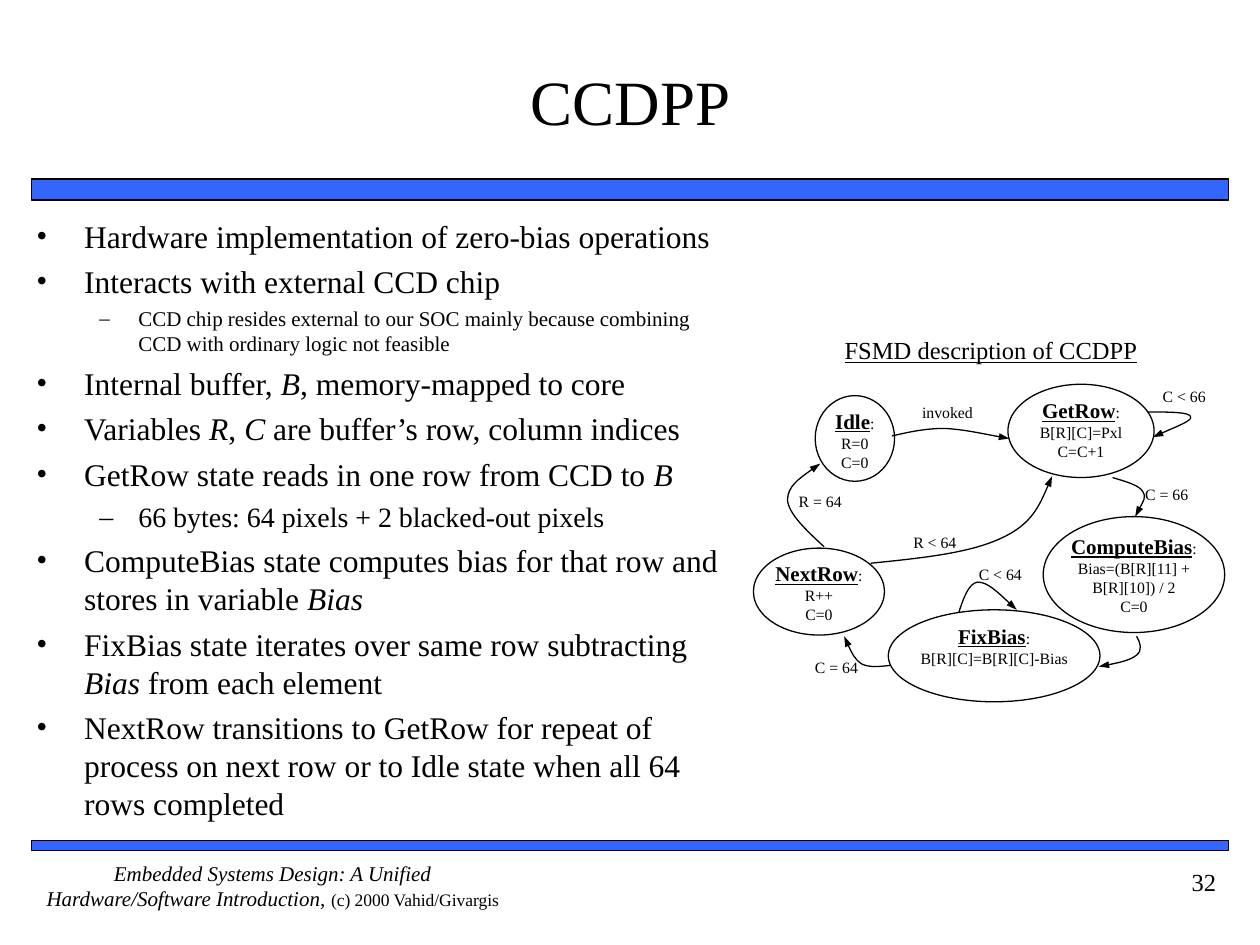
from dataclasses import dataclass
from typing import NamedTuple

from lxml.etree import SubElement
from pptx import Presentation
from pptx.dml.color import RGBColor
from pptx.enum.shapes import MSO_SHAPE
from pptx.enum.text import MSO_ANCHOR, PP_ALIGN
from pptx.oxml.ns import qn
from pptx.util import Inches, Pt


@dataclass(frozen=True)
class Theme:
    font: str = "Times New Roman"
    ink: RGBColor = RGBColor(0, 0, 0)
    paper: RGBColor = RGBColor(255, 255, 255)
    band: RGBColor = RGBColor(0x33, 0x66, 0xFF)
    title: float = 36
    body: float = 18
    sub: float = 16
    head: float = 14
    small: float = 12
    credit: float = 10
    label: float = 9
    rule: float = 1
    edge: float = 0.75


THEME = Theme()


class Box(NamedTuple):
    left: float
    top: float
    width: float
    height: float


class Run(NamedTuple):
    text: str
    size: float
    form: dict = {}


class Point(NamedTuple):
    text: str
    size: float = THEME.body
    level: int = 0


class Level(NamedTuple):
    left: float
    hang: float
    mark: str


class Label(NamedTuple):
    text: str
    box: Box


class State(NamedTuple):
    name: str
    steps: list[str]
    box: Box


LEVELS = [Level(0.38, 0.38, "•"), Level(0.81, 0.31, "–")]
PAD = (0.1, 0.05)

POINTS = [
    Point("Hardware implementation of zero-bias operations"),
    Point("Interacts with external CCD chip"),
    Point("CCD chip resides external to our SOC mainly because combining "
          "CCD with ordinary logic not feasible", THEME.small, 1),
    Point("Internal buffer, *B*, memory-mapped to core"),
    Point("Variables *R*, *C* are buffer’s row, column indices"),
    Point("GetRow state reads in one row from CCD to *B*"),
    Point("66 bytes: 64 pixels + 2 blacked-out pixels", THEME.sub, 1),
    Point("ComputeBias state computes bias for that row and stores in variable *Bias*"),
    Point("FixBias state iterates over same row subtracting *Bias* from each element"),
    Point("NextRow transitions to GetRow for repeat of process on next row "
          "or to Idle state when all 64 rows completed"),
]

LABELS = [
    Label("C = 64", Box(6.37, 5.17, 0.57, 0.25)),
    Label("C < 64", Box(7.67, 4.43, 0.57, 0.25)),
    Label("R = 64", Box(6.24, 3.85, 0.77, 0.25)),
    Label("C = 66", Box(8.99, 3.8, 0.57, 0.25)),
    Label("invoked", Box(7.22, 3.15, 0.63, 0.25)),
    Label("R < 64", Box(7.15, 4.18, 0.73, 0.25)),
    Label("C < 66", Box(9.13, 3.02, 0.57, 0.25)),
]

STATES = [
    State("Idle", ["R=0", "C=0"], Box(6.47, 3.14, 0.63, 0.68)),
    State("GetRow", ["B[R][C]=Pxl", "C=C+1"], Box(8, 3.05, 1.16, 0.74)),
    State("ComputeBias", ["Bias=(B[R][11] + B[R][10]) / 2", "C=0"],
          Box(8.28, 4.1, 1.44, 0.92)),
    State("NextRow", ["R++", "C=0"], Box(5.98, 4.35, 1.04, 0.69)),
    State("FixBias", ["B[R][C]=B[R][C]-Bias"], Box(7.05, 4.84, 1.68, 0.73)),
]

CURVES = [
    [(7.08, 3.46), (7.21, 3.43), (7.34, 3.4), (7.5, 3.4),
     (7.66, 3.41), (7.83, 3.45), (8.01, 3.48)],
    [(8.83, 3.79), (8.93, 3.82), (9.04, 3.85), (9.07, 3.9),
     (9.1, 3.95), (9.05, 4.02), (9.01, 4.1)],
    [(9.02, 5.05), (9.05, 5.1), (9.07, 5.16), (9.02, 5.2),
     (8.97, 5.24), (8.84, 5.27), (8.72, 5.29)],
    [(7.07, 5.28), (6.99, 5.29), (6.9, 5.3), (6.84, 5.27),
     (6.78, 5.23), (6.74, 5.14), (6.7, 5.05)],
    [(6.54, 4.34), (6.4, 4.21), (6.26, 4.08), (6.25, 3.97),
     (6.25, 3.86), (6.38, 3.77), (6.51, 3.68)],
    [(6.91, 4.47), (7.31, 4.43), (7.7, 4.39), (7.95, 4.27),
     (8.19, 4.16), (8.27, 3.97), (8.35, 3.78)],
    [(7.61, 4.86), (7.65, 4.74), (7.69, 4.63), (7.76, 4.62),
     (7.84, 4.62), (7.95, 4.73), (8.07, 4.84)],
    [(9.11, 3.27), (9.28, 3.27), (9.45, 3.27), (9.45, 3.31),
     (9.46, 3.34), (9.3, 3.4), (9.15, 3.47)],
]


def write(shape, lines: list[list[Run]], align=PP_ALIGN.CENTER,
          pad=(0, 0), anchor=MSO_ANCHOR.TOP) -> list:
    frame = shape.text_frame
    side, edge = map(Inches, pad)
    form = {"word_wrap": True, "vertical_anchor": anchor, "margin_left": side,
            "margin_right": side, "margin_top": edge, "margin_bottom": edge}
    for key, value in form.items():
        setattr(frame, key, value)
    paras = []
    for row, runs in enumerate(lines):
        para = frame.add_paragraph() if row else frame.paragraphs[0]
        para.alignment = align
        for text, size, extra in runs:
            run = para.add_run()
            run.text = text
            form = {"name": THEME.font, "size": Pt(size), **extra}
            for key, value in form.items():
                setattr(run.font, key, value)
            run.font.color.rgb = THEME.ink
        paras.append(para)
    return paras


def add_text(slide, box: Box, lines: list[list[Run]], **form) -> list:
    return write(slide.shapes.add_textbox(*map(Inches, box)), lines, **form)


def add_form(slide, kind, box: Box, fill: RGBColor, width: float = 0):
    shape = slide.shapes.add_shape(kind, *map(Inches, box))
    shape.shadow.inherit = False
    shape.fill.solid()
    shape.fill.fore_color.rgb = fill
    if width:
        shape.line.color.rgb = THEME.ink
        shape.line.width = Pt(width)
    else:
        shape.line.fill.background()
    return shape


def add_points(slide, box: Box) -> None:
    lines = [[Run(part, point.size, {"italic": bool(spot % 2)})
              for spot, part in enumerate(point.text.split("*")) if part]
             for point in POINTS]
    paras = add_text(slide, box, lines, align=PP_ALIGN.LEFT, pad=PAD)
    for point, para in zip(POINTS, paras):
        level = LEVELS[point.level]
        para.level = point.level
        para.space_before = Pt(point.size / 4)
        props = para._p.get_or_add_pPr()
        props.set("marL", str(Inches(level.left)))
        props.set("indent", str(-Inches(level.hang)))
        SubElement(props, qn("a:buFont"), typeface=THEME.font)
        SubElement(props, qn("a:buChar"), char=level.mark)


def add_curve(slide, knots: list[tuple[float, float]]) -> None:
    start, *rest = [(Inches(x), Inches(y)) for x, y in knots]
    pen = slide.shapes.build_freeform(*start)
    pen.add_line_segments(rest, close=False)
    shape = pen.convert_to_shape()
    shape.shadow.inherit = False
    shape.fill.background()
    shape.line.color.rgb = THEME.ink
    shape.line.width = Pt(THEME.edge)
    SubElement(shape.line._get_or_add_ln(), qn("a:tailEnd"), type="triangle", w="sm")
    trace = next(shape._element.iter(qn("a:path")))
    legs = trace.findall(qn("a:lnTo"))
    for first in range(0, len(legs), 3):
        bend = SubElement(trace, qn("a:cubicBezTo"))
        for leg in legs[first:first + 3]:
            bend.append(leg[0])
            trace.remove(leg)


def main() -> None:
    deck = Presentation()
    deck.slide_width, deck.slide_height = Inches(10), Inches(7.5)
    slide = deck.slides.add_slide(deck.slide_layouts[6])
    for top, height in ((1.42, 0.17), (6.67, 0.08)):
        add_form(slide, MSO_SHAPE.RECTANGLE, Box(0.25, top, 9.5, height),
                 THEME.band, THEME.rule)
    add_text(slide, Box(0.25, 6.83, 3.83, 0.5), [[
        Run("Embedded Systems Design: A Unified Hardware/Software Introduction, ",
            THEME.small, {"italic": True}),
        Run("(c) 2000 Vahid/Givargis", THEME.credit)]])
    add_text(slide, Box(0.42, 0.17, 9.17, 1.25), [[Run("CCDPP", THEME.title)]],
             pad=(0, 0.05), anchor=MSO_ANCHOR.MIDDLE)
    add_points(slide, Box(0.19, 1.67, 5.73, 4.96))
    for label in LABELS:
        shape = add_form(slide, MSO_SHAPE.RECTANGLE, label.box, THEME.paper)
        write(shape, [[Run(label.text, THEME.label)]], align=PP_ALIGN.LEFT, pad=PAD)
    for state in STATES:
        shape = add_form(slide, MSO_SHAPE.OVAL, state.box, THEME.paper, THEME.edge)
        name = Run(state.name, THEME.small, {"bold": True, "underline": True})
        write(shape, [[name, Run(":", THEME.label)],
                      *([Run(step, THEME.label)] for step in state.steps)])
    for knots in CURVES:
        add_curve(slide, knots)
    add_text(slide, Box(6.42, 2.66, 2.89, 0.23),
             [[Run("FSMD description of CCDPP", THEME.head, {"underline": True})]])
    add_text(slide, Box(8.75, 6.83, 1, 0.5), [[Run("32", THEME.head)]],
             align=PP_ALIGN.RIGHT, pad=PAD)
    deck.save("out.pptx")


if __name__ == "__main__":
    main()
